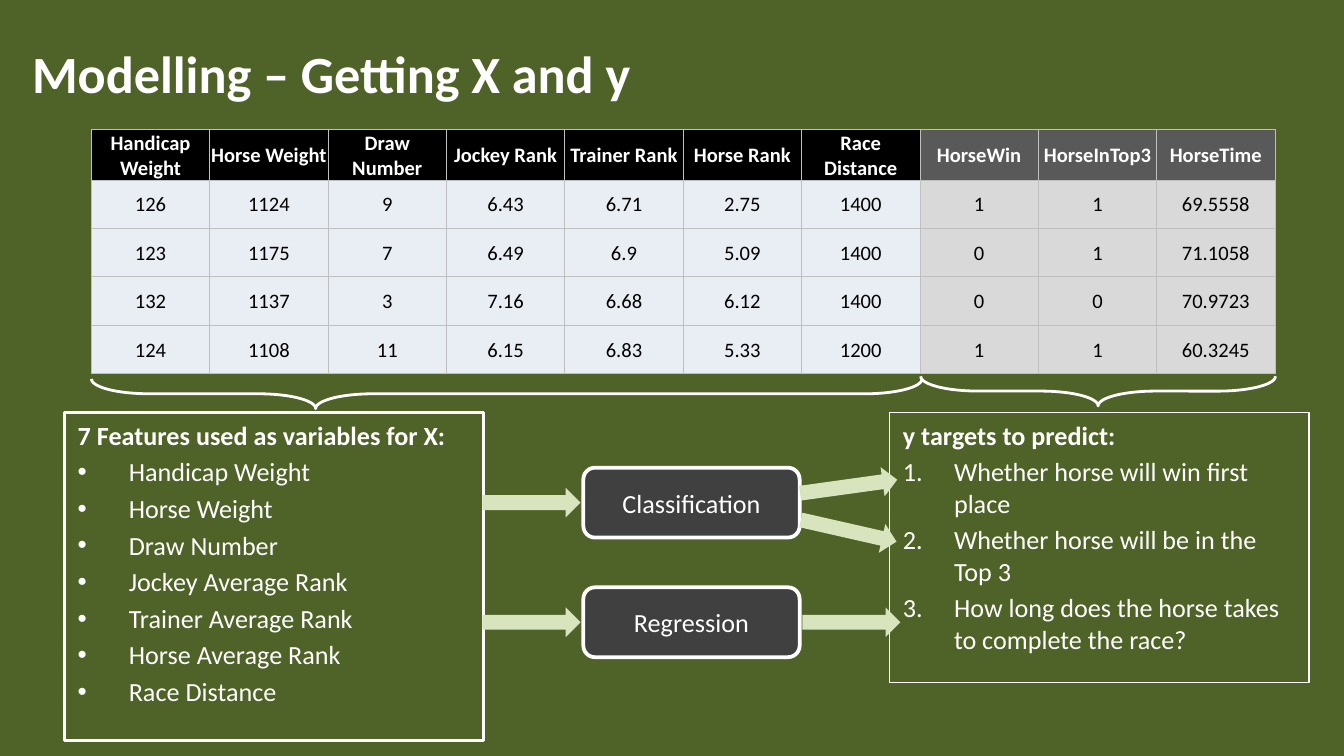
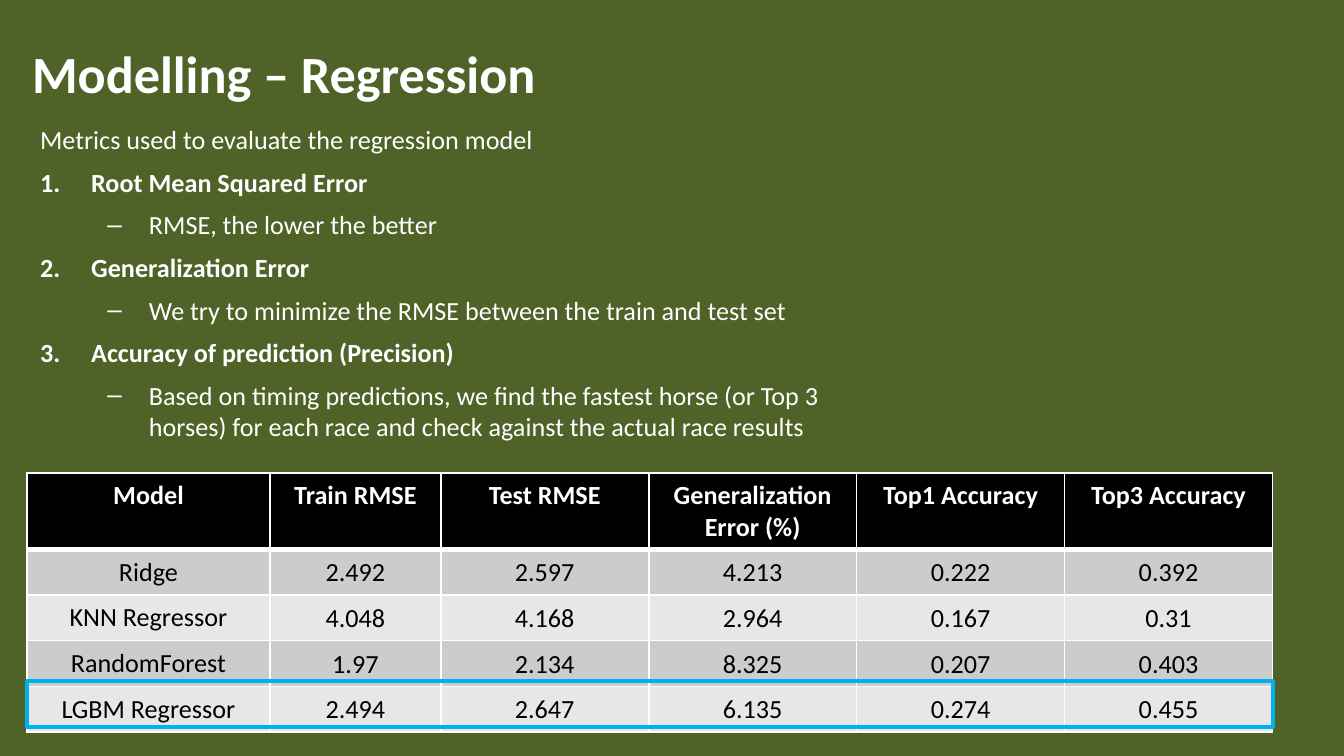
from dataclasses import dataclass

from lxml.etree import SubElement
from pptx import Presentation
from pptx.dml.color import RGBColor
from pptx.enum.shapes import MSO_SHAPE
from pptx.enum.text import MSO_ANCHOR, PP_ALIGN
from pptx.oxml import parse_xml
from pptx.oxml.ns import nsdecls, qn
from pptx.util import Inches, Pt


@dataclass(frozen=True)
class Theme:
    font: str = "Calibri"
    bullet_font: str = "Arial"
    title: float = 28
    body: float = 14
    small: float = 11
    background: str = "4F6228"
    white: str = "FFFFFF"
    black: str = "000000"
    box: str = "404040"
    arrow: str = "D7E4BD"
    grid: str = "BFBFBF"
    feature: str = "E9EDF4"
    target: str = "D9D9D9"
    target_head: str = "595959"
    band_dark: str = "CCCCCC"
    band_light: str = "E7E7E7"
    highlight: str = "00B0F0"


T = Theme()
TIGHT = {"margin_left": Inches(0.01), "margin_top": Inches(0.01),
         "margin_right": Inches(0.01), "margin_bottom": 0}
NUMBER = ("buAutoNum", {"type": "arabicPeriod"}, 0.38, -0.38, 0)
DOT = ("buChar", {"char": "•"}, 0.38, -0.38, 0)
DASH = ("buChar", {"char": "–"}, 0.81, -0.31, 1)

RACE_HEAD = ["Handicap Weight", "Horse Weight", "Draw Number", "Jockey Rank",
             "Trainer Rank", "Horse Rank", "Race Distance",
             "HorseWin", "HorseInTop3", "HorseTime"]
RACES = [
    ["126", "1124", "9", "6.43", "6.71", "2.75", "1400", "1", "1", "69.5558"],
    ["123", "1175", "7", "6.49", "6.9", "5.09", "1400", "0", "1", "71.1058"],
    ["132", "1137", "3", "7.16", "6.68", "6.12", "1400", "0", "0", "70.9723"],
    ["124", "1108", "11", "6.15", "6.83", "5.33", "1200", "1", "1", "60.3245"],
]
FEATURE_COUNT = 7
FEATURES = ["Handicap Weight", "Horse Weight", "Draw Number",
            "Jockey Average Rank", "Trainer Average Rank",
            "Horse Average Rank", "Race Distance"]
TARGETS = ["Whether horse will win first place",
           "Whether horse will be in the Top 3",
           "How long does the horse takes to complete the race?"]
METRICS = [
    ("Root Mean Squared Error", "RMSE, the lower the better"),
    ("Generalization Error",
     "We try to minimize the RMSE between the train and test set"),
    ("Accuracy of prediction (Precision)",
     "Based on timing predictions, we find the fastest horse (or Top 3 horses) "
     "for each race and check against the actual race results"),
]
SCORE_HEAD = ["Model", "Train RMSE", "Test RMSE", "Generalization Error (%)",
              "Top1 Accuracy", "Top3 Accuracy"]
SCORES = [
    ["Ridge", "2.492", "2.597", "4.213", "0.222", "0.392"],
    ["KNN Regressor", "4.048", "4.168", "2.964", "0.167", "0.31"],
    ["RandomForest", "1.97", "2.134", "8.325", "0.207", "0.403"],
    ["LGBM Regressor", "2.494", "2.647", "6.135", "0.274", "0.455"],
]


def inches(*values):
    return [Inches(v) for v in values]


def apply_format(obj, values):
    for name, value in values.items():
        setattr(obj, name, value)


def write(p, text, size=T.body, color=T.white, bold=False):
    r = p.add_run()
    r.text = text
    apply_format(r.font, {"name": T.font, "size": Pt(size), "bold": bold})
    r.font.color.rgb = RGBColor.from_string(color)


def add_bullet(p, bullet):
    tag, attributes, left, hanging, level = bullet
    p.level = level
    pPr = p._p.get_or_add_pPr()
    pPr.set("marL", str(Inches(left)))
    pPr.set("indent", str(Inches(hanging)))
    if tag == "buChar":
        SubElement(pPr, qn("a:buFont"), {"typeface": T.bullet_font})
    SubElement(pPr, qn(f"a:{tag}"), attributes)


def write_list(tf, items, gap):
    apply_format(tf, {"word_wrap": True, "vertical_anchor": MSO_ANCHOR.TOP})
    for i, (text, bullet, bold) in enumerate(items):
        p = tf.add_paragraph() if i else tf.paragraphs[0]
        p.alignment = PP_ALIGN.LEFT
        if bullet:
            add_bullet(p, bullet)
        if i:
            p.space_before = Pt(gap)
        write(p, text, bold=bold)


def add_shape(s, kind, at, fill=None, line=None, width=1, rotation=0):
    sp = s.shapes.add_shape(kind, *inches(*at))
    sp.shadow.inherit = False
    sp.rotation = rotation
    if fill:
        sp.fill.solid()
        sp.fill.fore_color.rgb = RGBColor.from_string(fill)
    else:
        sp.fill.background()
    if line:
        sp.line.color.rgb = RGBColor.from_string(line)
        sp.line.width = Pt(width)
    else:
        sp.line.fill.background()
    return sp


def add_list_box(s, at, width, heading, items, bullet):
    sp = add_shape(s, MSO_SHAPE.RECTANGLE, at, line=T.white, width=width)
    write_list(sp.text_frame, [(heading, None, True)]
               + [(item, bullet, False) for item in items], 2.8)


def add_model_box(s, top, label):
    sp = add_shape(s, MSO_SHAPE.ROUNDED_RECTANGLE, (4.34, top, 1.61, 0.52),
                   fill=T.box, line=T.white, width=2)
    tf = sp.text_frame
    tf.vertical_anchor = MSO_ANCHOR.MIDDLE
    p = tf.paragraphs[0]
    p.alignment = PP_ALIGN.CENTER
    write(p, label)


def add_brace(s, at, point):
    sp = add_shape(s, MSO_SHAPE.RIGHT_BRACE, at, line=T.white, width=1.5, rotation=90)
    sp.adjustments[0] = 1.95
    sp.adjustments[1] = point


def add_arrow(s, left, top, rotation=0):
    add_shape(s, MSO_SHAPE.RIGHT_ARROW, (left, top, 0.73, 0.22),
              fill=T.arrow, rotation=rotation)


def set_borders(cell, color, widths):
    tcPr = cell._tc.get_or_add_tcPr()
    for i, (side, width) in enumerate(zip("LRTB", widths)):
        tcPr.insert(i, parse_xml(
            f'<a:ln{side} {nsdecls("a")} w="{Pt(width)}"><a:solidFill>'
            f'<a:srgbClr val="{color}"/></a:solidFill></a:ln{side}>'))


def add_table(s, left, top, cols, heights, rows, size, fill_at, margins_at,
              border, line, head_line, head_anchor):
    shape = s.shapes.add_table(len(rows), len(cols), *inches(
        left, top, sum(cols), sum(heights)))
    table = shape.table
    for column, width in zip(table.columns, cols):
        column.width = Inches(width)
    for i, (row, height, texts) in enumerate(zip(table.rows, heights, rows)):
        row.height = Inches(height)
        for j, (cell, text) in enumerate(zip(row.cells, texts)):
            head = i == 0
            apply_format(cell, {
                "vertical_anchor": head_anchor if head else MSO_ANCHOR.MIDDLE,
                **margins_at(i, j)})
            cell.fill.solid()
            cell.fill.fore_color.rgb = RGBColor.from_string(fill_at(i, j))
            set_borders(cell, border, (line, line,
                                       head_line if i == 1 else line,
                                       head_line if head else line))
            p = cell.text_frame.paragraphs[0]
            p.alignment = PP_ALIGN.CENTER
            write(p, text, size, T.white if head else T.black, head)


def race_fill(i, j):
    if j < FEATURE_COUNT:
        return T.feature if i else T.black
    return T.target if i else T.target_head


def score_fill(i, j):
    if i == 0:
        return T.black
    return T.band_dark if i % 2 else T.band_light


def add_slide(prs, title):
    s = prs.slides.add_slide(prs.slide_layouts[6])
    s.background.fill.solid()
    s.background.fill.fore_color.rgb = RGBColor.from_string(T.background)
    tf = s.shapes.add_textbox(*inches(0.14, 0.12, 9.02, 0.84)).text_frame
    apply_format(tf, {"word_wrap": True, "vertical_anchor": MSO_ANCHOR.MIDDLE})
    write(tf.paragraphs[0], title, T.title, bold=True)
    return s


def add_features_slide(prs):
    s = add_slide(prs, "Modelling – Getting X and y")
    add_list_box(s, (0.48, 3.07, 3.12, 2.44), 1.5,
                 "7 Features used as variables for X:", FEATURES, DOT)
    for top, label in ((3.48, "Classification"), (4.37, "Regression")):
        add_model_box(s, top, label)
    add_table(s, 0.68, 0.96, [8.81 / 10] * 10, [0.38] + [0.36] * 4,
              [RACE_HEAD] + RACES, T.small, race_fill, lambda i, j: TIGHT,
              T.grid, 0.5, 0.5, MSO_ANCHOR.MIDDLE)
    add_brace(s, (3.66, -0.16, 0.22, 6.18), 0.73)
    add_brace(s, (8.06, 1.59, 0.22, 2.64), 0.5)
    add_list_box(s, (6.62, 3.07, 3.12, 2.01), 0.75,
                 "y targets to predict:", TARGETS, NUMBER)
    for arrow in ((3.59, 3.63), (3.59, 4.52), (5.95, 3.51, 352.1),
                  (5.95, 3.84, 12.8), (5.97, 4.52)):
        add_arrow(s, *arrow)


def add_regression_slide(prs):
    s = add_slide(prs, "Modelling – Regression")
    items = [("Metrics used to evaluate the regression model", None, False)]
    for metric, detail in METRICS:
        items += [(metric, NUMBER, True), (detail, DASH, False)]
    tf = s.shapes.add_textbox(*inches(0.2, 0.87, 6.29, 2.57)).text_frame
    write_list(tf, items, 6)
    first, second, width = 1.81, 1.27, 9.27
    cols = [first, second] + [(width - first - second) / 4] * 4
    add_table(s, 0.2, 3.52, cols, [0.56] + [0.34] * 4,
              [SCORE_HEAD] + SCORES, T.body, score_fill,
              lambda i, j: TIGHT if i and j else {},
              T.white, 1, 3, MSO_ANCHOR.TOP)
    add_shape(s, MSO_SHAPE.RECTANGLE, (0.2, 5.07, width, 0.34),
              line=T.highlight, width=2)


def main():
    prs = Presentation()
    prs.slide_width = Inches(10)
    prs.slide_height = Inches(10 * 9 / 16)
    add_features_slide(prs)
    add_regression_slide(prs)
    prs.save("out.pptx")


if __name__ == "__main__":
    main()
